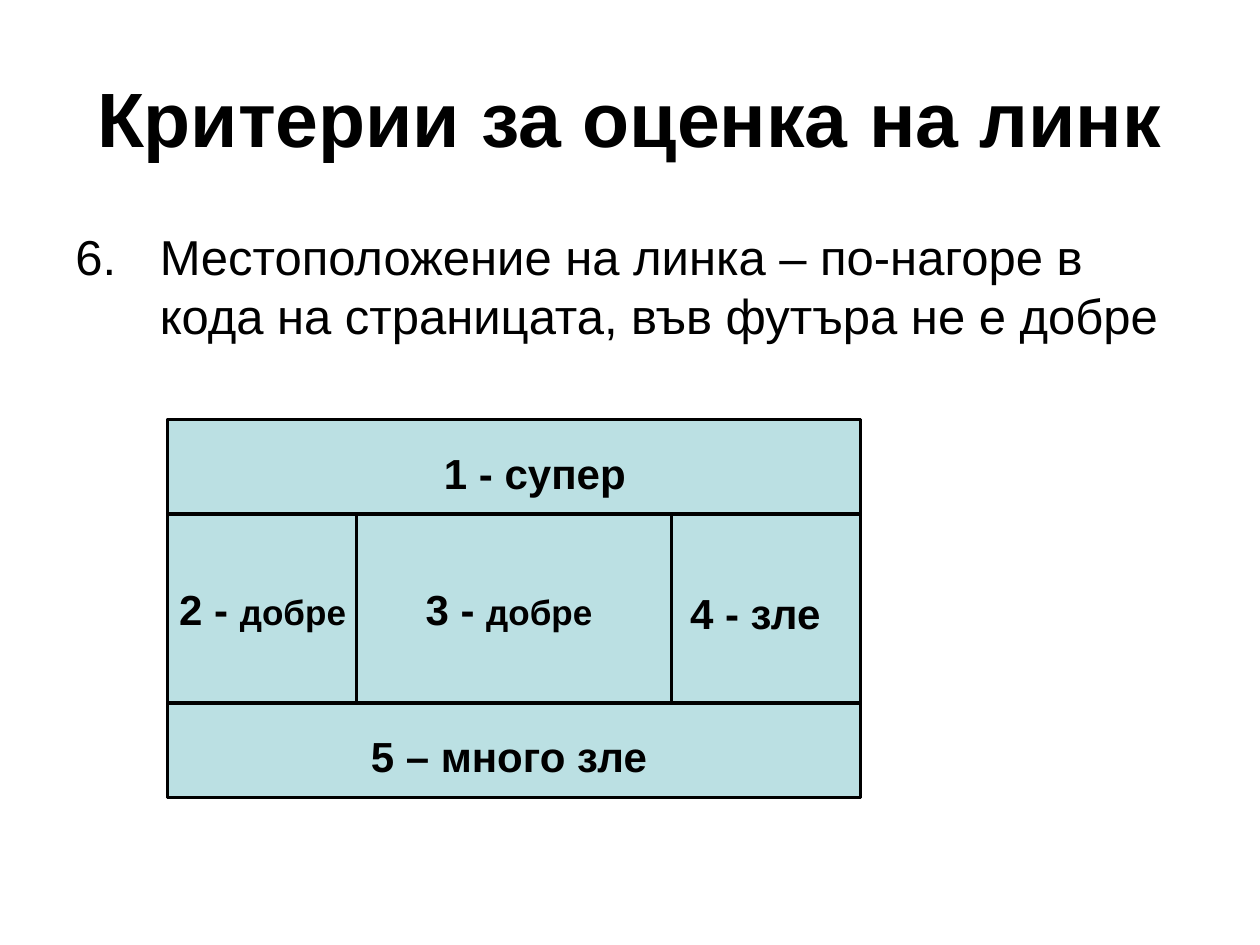
"""Builds a slide that rates link positions within a page layout."""
from pptx import Presentation
from pptx.dml.color import RGBColor
from pptx.enum.shapes import MSO_SHAPE
from pptx.enum.text import MSO_ANCHOR, MSO_AUTO_SIZE, PP_ALIGN
from pptx.util import Inches, Pt

RECTANGLE = MSO_SHAPE.RECTANGLE
MIDDLE = MSO_ANCHOR.MIDDLE
GROW = MSO_AUTO_SIZE.SHAPE_TO_FIT_TEXT
CENTER, LEFT = PP_ALIGN.CENTER, PP_ALIGN.LEFT
BLACK = RGBColor(0x00, 0x00, 0x00)
PALE_TEAL = RGBColor(0xBB, 0xE0, 0xE3)


def write(para, spans, bold, align):
    para.alignment = align
    for text, size in spans:
        span = para.add_run()
        span.text = text
        span.font.color.rgb = BLACK
        for name, value in {"name": "Arial", "size": Pt(size), "bold": bold}.items():
            setattr(span.font, name, value)


deck = Presentation()
deck.slide_width, deck.slide_height = Inches(10), Inches(7.5)
page = deck.slides.add_slide(deck.slide_layouts[5])

title = page.shapes.title
for name, value in {"left": 0.5, "top": 0.3, "width": 9, "height": 1.25}.items():
    setattr(title, name, Inches(value))
title.text_frame.vertical_anchor = MIDDLE
write(title.text_frame.paragraphs[0], [("Критерии за оценка на линк", 44)], True, CENTER)

criterion = page.shapes.add_textbox(Inches(0.5), Inches(1.75), Inches(9), Inches(4.95))
criterion.text_frame.word_wrap = True
para = criterion.text_frame.paragraphs[0]
para.space_before = Pt(7)
indent = para._p.get_or_add_pPr()
indent.set("marL", str(Inches(0.67)))
indent.set("indent", str(-Inches(0.67)))
write(
    para,
    [("6.\tМестоположение на линка – по-нагоре в кода на страницата, във футъра не е добре", 28)],
    False,
    LEFT,
)

layout_areas = [
    (1.33, 3.33, 5.5, 3),
    (1.33, 3.33, 5.5, 0.75),
    (1.33, 5.58, 5.5, 0.75),
    (2.83, 4.08, 2.5, 1.5),
]
for area in layout_areas:
    box = page.shapes.add_shape(RECTANGLE, *map(Inches, area))
    box.shadow.inherit = False
    box.fill.solid()
    box.fill.fore_color.rgb = PALE_TEAL
    box.line.color.rgb = BLACK
    box.line.width = Pt(2)

ratings = [
    (3.33, 3.5, 1.83, 15, [("1 - супер", 24)]),
    (5.33, 4.61, 1.33, 15, [("4 - зле", 24)]),
    (2.75, 5.75, 2.67, 15, [("5 – много зле ", 24)]),
    (1.25, 4.58, 1.67, 12.5, [("2 - ", 24), ("добре", 20)]),
    (3.08, 4.58, 1.92, 12.5, [("3 - ", 24), ("добре", 20)]),
]
for left, top, width, space, spans in ratings:
    label = page.shapes.add_textbox(Inches(left), Inches(top), Inches(width), Inches(0.5))
    for name, value in {"word_wrap": True, "auto_size": GROW}.items():
        setattr(label.text_frame, name, value)
    para = label.text_frame.paragraphs[0]
    para.space_before = Pt(space)
    write(para, spans, True, CENTER)

deck.save("out.pptx")
